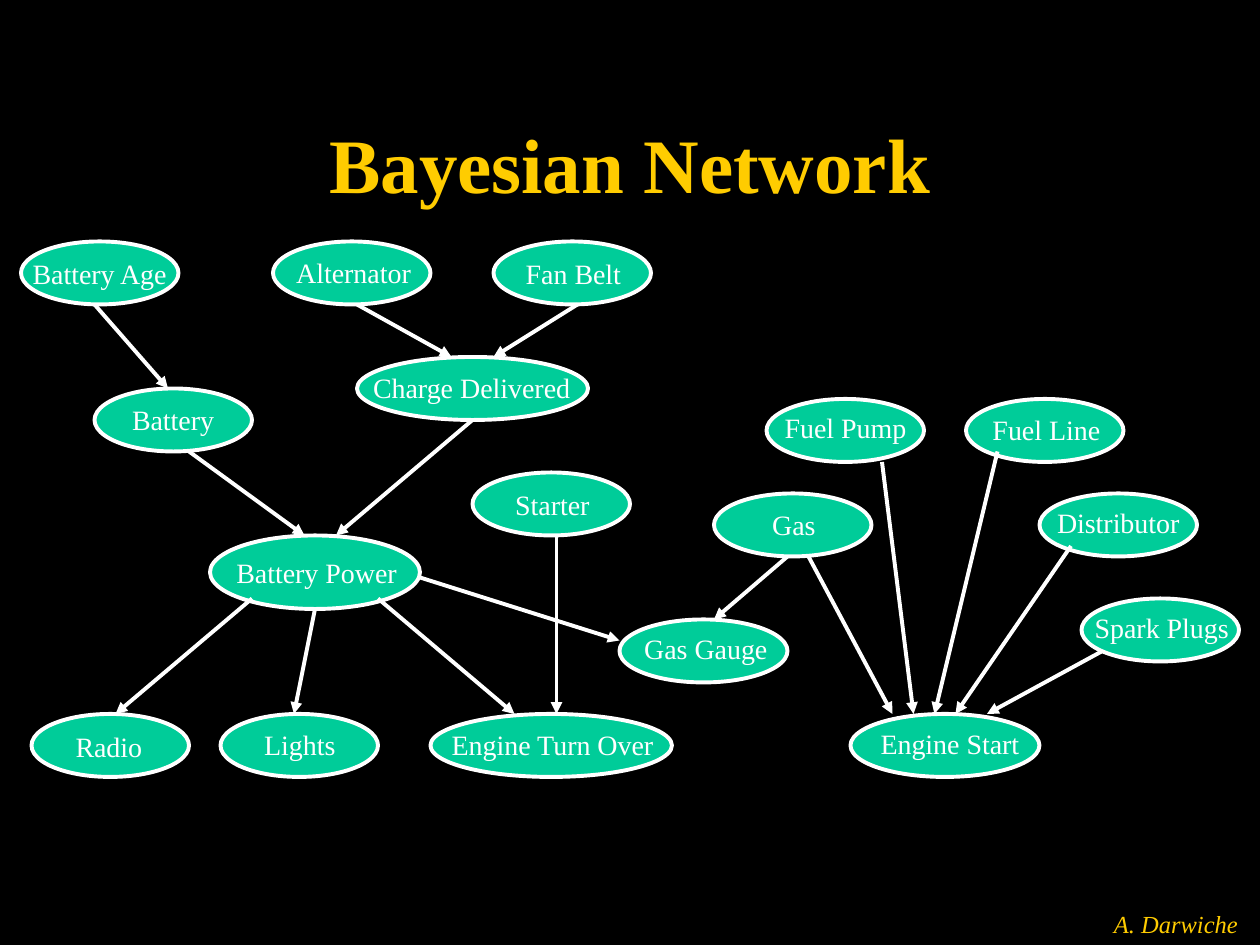
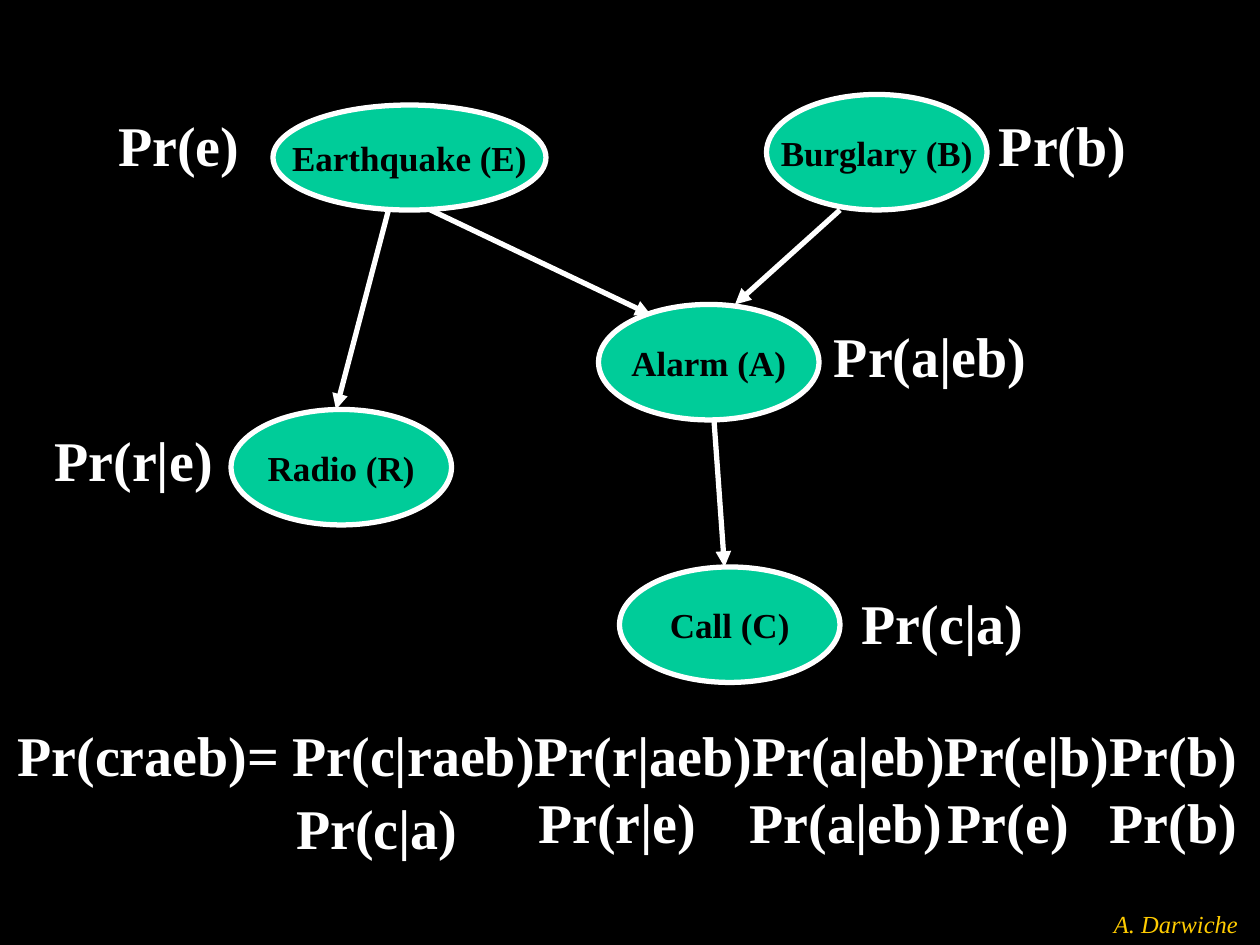
import pptx
import pptx.dml.color
import pptx.enum.shapes
import pptx.enum.text
import pptx.oxml.ns
import pptx.util
from lxml import etree
from pptx.util import Cm

STEP = 2.54 / 12
BLACK, WHITE, GOLD, GREEN = "000000", "FFFFFF", "FFCC00", "00CC99"
TITLE = {"size": 44, "bold": True, "color": GOLD}
AUTHOR = {"size": 14, "italic": True, "color": GOLD}
CAPTION = {"size": 16, "color": WHITE}
EVENT = {"size": 20, "bold": True, "color": BLACK}
FORMULA = {"size": 32, "bold": True, "color": WHITE}

CAR_NODES = [
    (26, 23, 15, 6), (47, 23, 15, 6), (34, 34, 22, 6), (9, 37, 15, 6),
    (20, 51, 20, 7), (3, 68, 15, 6), (21, 68, 15, 6), (41, 68, 23, 6),
    (59, 59, 16, 6), (45, 45, 15, 6), (68, 47, 15, 6), (73, 38, 15, 6),
    (92, 38, 15, 6), (99, 47, 15, 6), (103, 57, 15, 6), (81, 68, 18, 6),
]
CAR_ARROWS = [
    (9, 29, 16, 37), (34, 29, 43, 34), (55, 29, 47, 34), (18, 43, 29, 51),
    (45, 40, 32, 51), (24, 57, 11, 68), (30, 58, 28, 68), (36, 57, 49, 68),
    (53, 51, 53, 68), (40, 55, 59, 61), (75, 53, 68, 59), (77, 53, 85, 68),
    (84, 44, 87, 68), (95, 43, 89, 68), (102, 52, 91, 68), (105, 62, 94, 68),
]
CAR_CAPTIONS = [
    ("Alternator", 5.72, 5.03, 2.82),
    ("Fan Belt", 10.34, 5.05, 2.44),
    ("Battery", 2.41, 8, 2.16),
    ("Charge Delivered", 7.26, 7.34, 4.5),
    ("Battery Power", 4.52, 11.07, 3.73),
    ("Starter", 10.13, 9.7, 2.01),
    ("Radio", 1.27, 14.58, 1.85),
    ("Lights", 5.08, 14.55, 1.93),
    ("Engine Turn Over", 8.84, 14.55, 4.6),
    ("Gas Gauge", 12.73, 12.6, 3),
    ("Gas", 15.32, 10.11, 1.37),
    ("Fuel Pump", 15.57, 8.15, 2.95),
    ("Fuel Line", 19.76, 8.2, 2.67),
    ("Distributor", 21.06, 10.06, 2.97),
    ("Spark Plugs", 21.82, 12.19, 3.2),
    ("Engine Start", 17.5, 14.53, 3.3),
]
ALARM_NODES = [
    ("Earthquake (E)", (26, 10, 26, 10)),
    ("Burglary (B)", (73, 9, 21, 11)),
    ("Alarm (A)", (57, 29, 21, 11)),
    ("Call (C)", (59, 54, 21, 11)),
    ("Radio (R)", (22, 39, 21, 11)),
]
ALARM_ARROWS = [(37, 20, 32, 39), (41, 20, 62, 30), (80, 20, 70, 29), (68, 40, 69, 54)]
FORMULA_WIDTHS = {
    "Pr(craeb)=": 5.79,
    "Pr(c|raeb)Pr(r|aeb)Pr(a|eb)Pr(e|b)Pr(b)": 19.58,
    "Pr(c|a)": 3.76,
    "Pr(r|e)": 3.71,
    "Pr(a|eb)": 4.39,
    "Pr(e)": 2.95,
    "Pr(b)": 3.07,
}
FORMULAS = [
    ("Pr(craeb)=", 0.1, 14.4),
    ("Pr(c|raeb)Pr(r|aeb)Pr(a|eb)Pr(e|b)Pr(b)", 5.64, 14.4),
    ("Pr(c|a)", 5.72, 15.88),
    ("Pr(r|e)", 10.59, 15.75),
    ("Pr(a|eb)", 14.86, 15.75),
    ("Pr(e)", 18.85, 15.75),
    ("Pr(b)", 22.12, 15.75),
    ("Pr(e)", 2.13, 2.11),
    ("Pr(b)", 19.89, 2.11),
    ("Pr(a|eb)", 16.56, 6.35),
    ("Pr(r|e)", 0.84, 8.46),
    ("Pr(c|a)", 17.12, 11.73),
]


def rgb(value):
    return pptx.dml.color.RGBColor.from_string(value)


def on_grid(*steps):
    return [Cm(step * STEP) for step in steps]


class NetworkDeck:
    font_name = "Times New Roman"

    def __init__(self):
        self.deck = pptx.Presentation()
        self.deck.slide_width, self.deck.slide_height = Cm(25.4), Cm(19.05)
        fill = self.deck.slide_master.background.fill
        fill.solid()
        fill.fore_color.rgb = rgb(BLACK)
        self.slide = None
        self.line_width = None

    def add_slide(self, layout, line_width):
        self.slide = self.deck.slides.add_slide(self.deck.slide_layouts[layout])
        self.line_width = pptx.util.Pt(line_width)
        self.text("A. Darwiche", on_grid(93, 85, 38, 6), AUTHOR, "MIDDLE")

    def set_text(self, shape, text, style, anchor="MIDDLE"):
        frame = shape.text_frame
        frame_format = {
            "word_wrap": False,
            "auto_size": pptx.enum.text.MSO_AUTO_SIZE.NONE,
            "vertical_anchor": pptx.enum.text.MSO_ANCHOR[anchor],
        }
        for name, value in frame_format.items():
            setattr(frame, name, value)
        para = frame.paragraphs[0]
        para.alignment = pptx.enum.text.PP_ALIGN.CENTER
        span = para.add_run()
        span.text = text
        font_format = {"name": self.font_name, "bold": False, "italic": False, **style}
        span.font.color.rgb = rgb(font_format.pop("color"))
        font_format["size"] = pptx.util.Pt(font_format["size"])
        for name, value in font_format.items():
            setattr(span.font, name, value)

    def title(self, text, bounds):
        title = self.slide.shapes.title
        for name, value in zip(("left", "top", "width", "height"), bounds):
            setattr(title, name, value)
        self.set_text(title, text, TITLE)

    def text(self, text, bounds, style, anchor="TOP"):
        self.set_text(self.slide.shapes.add_textbox(*bounds), text, style, anchor)

    def outline(self, shape):
        shape.line.color.rgb = rgb(WHITE)
        shape.line.width = self.line_width

    def node(self, bounds, text=None, style=None):
        oval = self.slide.shapes.add_shape(
            pptx.enum.shapes.MSO_SHAPE.OVAL, *on_grid(*bounds))
        oval.shadow.inherit = False
        oval.fill.solid()
        oval.fill.fore_color.rgb = rgb(GREEN)
        self.outline(oval)
        if text:
            self.set_text(oval, text, style)

    def arrow(self, ends):
        arrow = self.slide.shapes.add_connector(
            pptx.enum.shapes.MSO_CONNECTOR.STRAIGHT, *on_grid(*ends))
        self.outline(arrow)
        qn = pptx.oxml.ns.qn
        properties = arrow._element.spPr
        etree.SubElement(properties.find(qn("a:ln")), qn("a:tailEnd"), type="triangle")
        etree.SubElement(properties, qn("a:effectLst"))


def build_car_network(network):
    network.add_slide(5, 2.25)
    network.title("Bayesian Network", on_grid(9, 8, 102, 15))
    network.node((2, 23, 15, 6), "Battery Age", CAPTION)
    for bounds in CAR_NODES:
        network.node(bounds)
    for ends in CAR_ARROWS:
        network.arrow(ends)
    for text, left, top, width in CAR_CAPTIONS:
        network.text(text, (Cm(left), Cm(top), Cm(width), Cm(0.94)), CAPTION)


def build_alarm_network(network):
    network.add_slide(6, 3)
    for text, bounds in ALARM_NODES:
        network.node(bounds, text, EVENT)
    for ends in ALARM_ARROWS:
        network.arrow(ends)
    for text, left, top in FORMULAS:
        bounds = Cm(left), Cm(top), Cm(FORMULA_WIDTHS[text]), Cm(1.63)
        network.text(text, bounds, FORMULA)


def main():
    network = NetworkDeck()
    build_car_network(network)
    build_alarm_network(network)
    network.deck.save("out.pptx")


if __name__ == "__main__":
    main()
